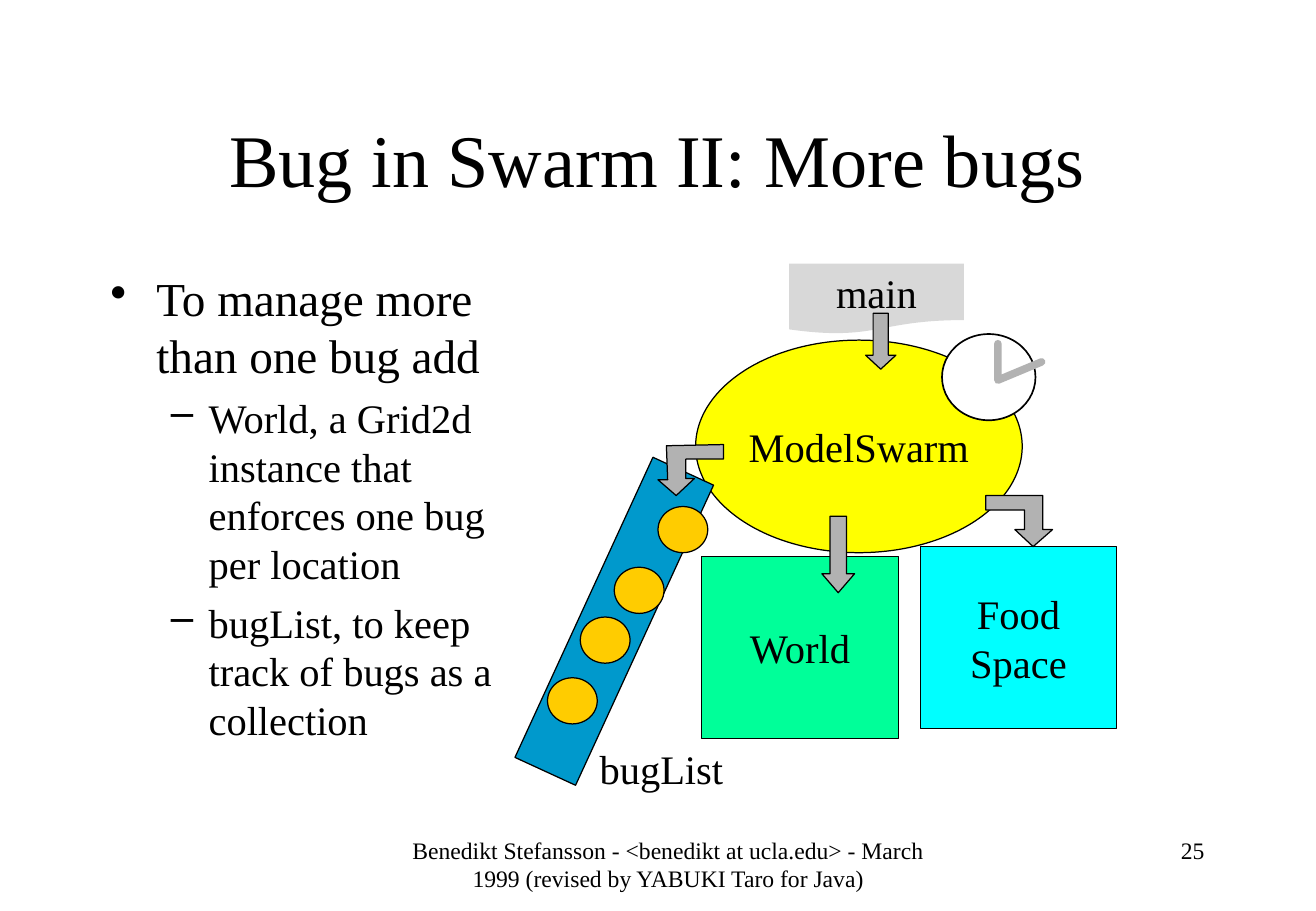
from lxml import etree
from pptx import Presentation
from pptx.dml.color import RGBColor
from pptx.enum import shapes, text
from pptx.oxml.ns import qn
from pptx.util import Inches, Pt

BLACK = RGBColor(0x00, 0x00, 0x00)
WHITE = RGBColor(0xFF, 0xFF, 0xFF)
GREY = RGBColor(0xB2, 0xB2, 0xB2)
GREEN = RGBColor(0x00, 0xFF, 0x99)
CYAN = RGBColor(0x00, 0xFF, 0xFF)
YELLOW = RGBColor(0xFF, 0xFF, 0x00)
BLUE = RGBColor(0x00, 0x99, 0xCC)
ORANGE = RGBColor(0xFF, 0xCC, 0x00)
FORM = shapes.MSO_SHAPE
CENTER = text.PP_ALIGN.CENTER

deck = Presentation()
deck.slide_width, deck.slide_height = Inches(10.84), Inches(7.5)
slide = deck.slides.add_slide(deck.slide_layouts[6])


def write(shape, lines, size=24, align=CENTER, anchor=text.MSO_ANCHOR.MIDDLE, wrap=False):
    """Fill a shape with lines of (words, size, space before, bullet, margin, hang)."""
    frame = shape.text_frame
    frame.word_wrap = wrap
    frame.vertical_anchor = anchor
    for number, line in enumerate(lines):
        if isinstance(line, str):
            line = (line, size, 0, None, 0, 0)
        words, points, before, bullet, margin, hang = line
        paragraph = frame.paragraphs[0] if number == 0 else frame.add_paragraph()
        if bullet:
            properties = paragraph._p.get_or_add_pPr()
            properties.set("marL", str(Inches(margin)))
            properties.set("indent", str(-Inches(hang)))
            etree.SubElement(properties, qn("a:buChar")).set("char", bullet)
            paragraph.level = 0 if bullet == "•" else 1
        paragraph.alignment = align
        paragraph.space_before = Pt(before)
        run = paragraph.add_run()
        run.text = words
        run.font.name = "Times New Roman"
        run.font.size = Pt(points)
        run.font.color.rgb = BLACK


def paint(shape, fill, line=BLACK, width=0.75):
    shape.shadow.inherit = False
    if fill is None:
        shape.fill.background()
    else:
        shape.fill.solid()
        shape.fill.fore_color.rgb = fill
    if line is None:
        shape.line.fill.background()
    else:
        shape.line.color.rgb = line
        shape.line.width = Pt(width)
    return shape


# Objects of the model, back to front
labelled = [
    (FORM.RECTANGLE, (5.78, 4.58, 1.62, 1.5), GREEN, BLACK, ["World"]),
    (FORM.FLOWCHART_DOCUMENT, (6.5, 2.17, 1.44, 0.58), GREY, None, ["main"]),
    (FORM.RECTANGLE, (7.58, 4.5, 1.62, 1.5), CYAN, BLACK, ["Food", "Space"]),
    (FORM.OVAL, (5.73, 2.8, 2.69, 1.75), YELLOW, BLACK, ["ModelSwarm"]),
]
for form, place, fill, line, words in labelled:
    part = paint(slide.shapes.add_shape(form, *map(Inches, place)), fill, line)
    write(part, words)
    if form == FORM.FLOWCHART_DOCUMENT:
        color = part._element.spPr.find(qn("a:solidFill"))[0]
        etree.SubElement(color, qn("a:alpha")).set("val", "50000")

# Clock face, bug list bar, bugs and straight arrows
plain = [
    (FORM.DOWN_ARROW, (7.13, 2.58, 0.25, 0.46), GREY, 0.75),
    (FORM.OVAL, (7.76, 2.75, 0.77, 0.71), WHITE, 1),
    (FORM.RECTANGLE, (3.7, 4.84, 2.72, 0.55), BLUE, 0.75),
    (FORM.DOWN_ARROW, (6.77, 4.25, 0.27, 0.63), GREY, 0.75),
]
bugs = [(5.42, 4.17), (5.06, 4.67), (4.78, 5.08), (4.51, 5.58)]
plain += [(FORM.OVAL, (*bug, 0.41, 0.38), ORANGE, 0.75) for bug in bugs]
for form, place, fill, width in plain:
    part = paint(slide.shapes.add_shape(form, *map(Inches, place)), fill, width=width)
    if fill == BLUE:
        part.rotation = 294.7
    if form == FORM.DOWN_ARROW:
        # Head as long as 0.46 or 0.58 of the arrow's width
        part.adjustments[1] = 0.46 if place[0] > 7 else 0.58

# Bent arrows and clock hands
outlines = [
    ([(8.12, 4.2), (8.44, 4.2), (8.44, 4.36), (8.36, 4.36), (8.51, 4.5),
      (8.67, 4.36), (8.59, 4.36), (8.59, 4.08), (8.12, 4.08)], GREY, BLACK, 0.75),
    ([(5.96, 3.78), (5.65, 3.78), (5.65, 3.94), (5.72, 3.94), (5.57, 4.08),
      (5.42, 3.95), (5.5, 3.95), (5.49, 3.67), (5.96, 3.66)], GREY, BLACK, 0.75),
    ([(8.22, 2.83), (8.22, 3.13), (8.58, 2.98)], None, GREY, 4.5),
]
for corners, fill, line, width in outlines:
    start, *others = [(Inches(x), Inches(y)) for x, y in corners]
    builder = slide.shapes.build_freeform(*start)
    builder.add_line_segments(others, close=fill is not None)
    outline = paint(builder.convert_to_shape(), fill, line, width)
    if fill is None:
        stroke = outline.line._get_or_add_ln()
        stroke.set("cap", "rnd")
        etree.SubElement(stroke, qn("a:round"))

# Title, bullets, list label and footer
bullets = [
    ("To manage more than one bug add", 28, 0, "•", 0.38, 0.38),
    ("World, a Grid2d instance that enforces one bug per location", 24, 6, "–", 0.81, 0.31),
    ("bugList, to keep track of bugs as a collection", 24, 6, "–", 0.81, 0.31),
]
footer = ("Benedikt Stefansson - <benedikt at ucla.edu> - March 1999 "
          "(revised by YABUKI Taro for Java)")
LEFT, RIGHT = text.PP_ALIGN.LEFT, text.PP_ALIGN.RIGHT
TOP, MIDDLE = text.MSO_ANCHOR.TOP, text.MSO_ANCHOR.MIDDLE
boxes = [
    ((0.81, 0.67, 9.21, 1.25), ["Bug in Swarm II: More bugs"], 44, CENTER, MIDDLE, True),
    ((0.81, 2.17, 3.61, 4.5), bullets, 28, LEFT, TOP, True),
    ((4.84, 6.08, 1.22, 0.5), ["bugList"], 24, LEFT, TOP, False),
    ((3.25, 6.83, 4.51, 0.5), [footer], 14, CENTER, TOP, True),
    ((8.03, 6.83, 1.99, 0.5), ["25"], 14, RIGHT, TOP, True),
]
for place, lines, size, align, anchor, wrap in boxes:
    box = slide.shapes.add_textbox(*map(Inches, place))
    write(box, lines, size=size, align=align, anchor=anchor, wrap=wrap)

deck.save("out.pptx")
